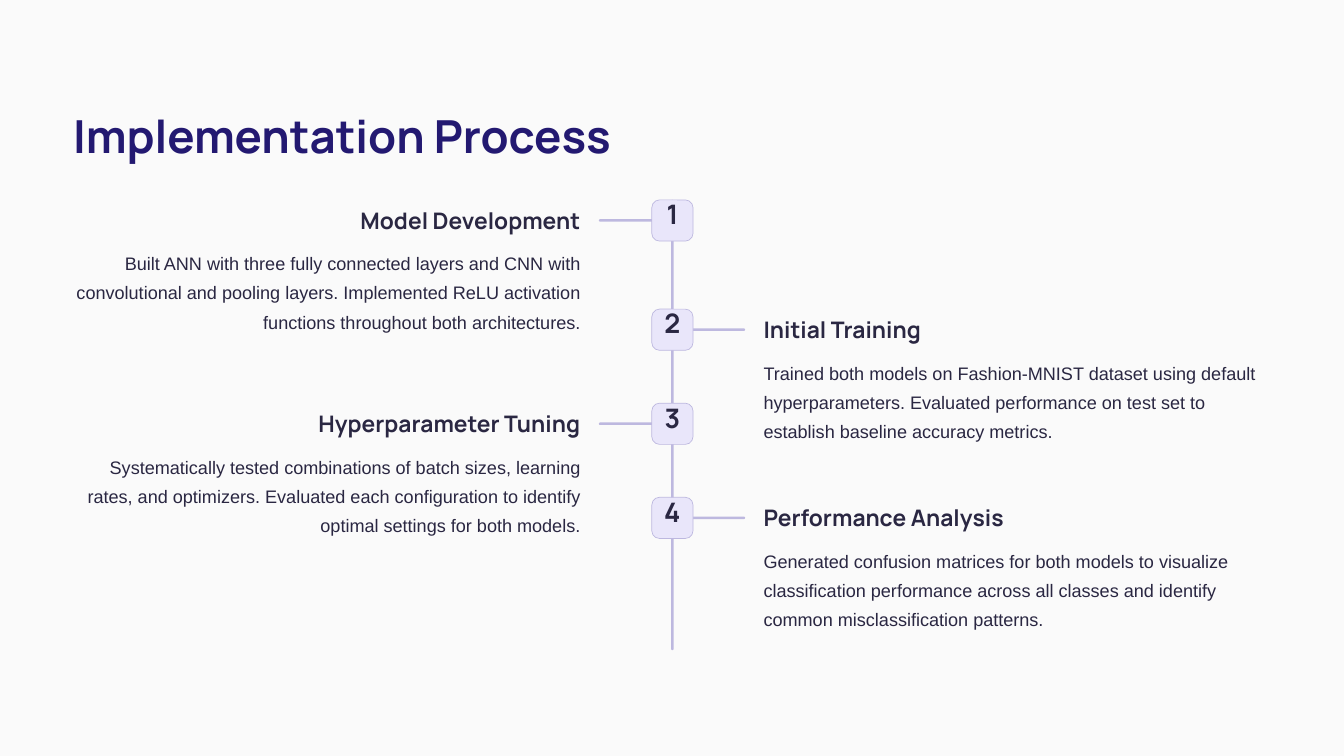
from pptx import Presentation
from pptx.dml.color import RGBColor
from pptx.enum.shapes import MSO_SHAPE as Shape
from pptx.enum.text import PP_ALIGN as Align
from pptx.util import Emu, Pt

PX = 9144  # 100 px to the inch
INK, NAVY, LILAC, PALE, PAPER = "2A2742", "231971", "BDB8DF", "E9E6FA", "FAFAFA"
HEADING = {"size": 19.5, "bold": True, "name": "Manrope"}
NUMBER = {**HEADING, "size": 23}
TITLE = {**HEADING, "size": 39}
BODY = {"size": 15.5, "bold": False, "name": "Arial"}

BADGE = 49
HEADING_WIDTH = 330
BODY_WIDTH = 605
# top, heading, body
STEPS = [
    (238, "Model Development",
     "Built ANN with three fully connected layers and CNN with convolutional and "
     "pooling layers. Implemented ReLU activation functions throughout both architectures."),
    (368, "Initial Training",
     "Trained both models on Fashion-MNIST dataset using default hyperparameters. "
     "Evaluated performance on test set to establish baseline accuracy metrics."),
    (480, "Hyperparameter Tuning",
     "Systematically tested combinations of batch sizes, learning rates, and optimizers. "
     "Evaluated each configuration to identify optimal settings for both models."),
    (592, "Performance Analysis",
     "Generated confusion matrices for both models to visualize classification performance "
     "across all classes and identify common misclassification patterns."),
]


def color(hex_code):
    return RGBColor.from_string(hex_code)


def px(*lengths):
    return [Emu(length * PX) for length in lengths]


def add_text(slide, box, text, font, leading, ink=INK, align=Align.LEFT):
    frame = slide.shapes.add_textbox(*px(*box)).text_frame
    for side in ("left", "top", "right", "bottom"):
        setattr(frame, f"margin_{side}", 0)
    frame.word_wrap = True
    paragraph = frame.paragraphs[0]
    paragraph.alignment = align
    paragraph.line_spacing = Pt(leading)
    run = paragraph.add_run()
    run.text = text
    for key, value in font.items():
        setattr(run.font, key, Pt(value) if key == "size" else value)
    run.font.color.rgb = color(ink)


def add_block(slide, box, fill, rounding, outline=None):
    """Add a rounded rectangle, outlined only when a colour is given."""
    block = slide.shapes.add_shape(Shape.ROUNDED_RECTANGLE, *px(*box))
    block.shadow.inherit = False
    block.adjustments[0] = rounding
    block.fill.solid()
    block.fill.fore_color.rgb = color(fill)
    if outline:
        block.line.color.rgb = color(outline)
        block.line.width = Pt(0.6)
    else:
        block.line.fill.background()


def add_step(slide, left, top, number, heading, body):
    """Place a step whose badge starts at left, top; odd steps read leftwards."""
    leftwards = number % 2 == 1
    align = Align.RIGHT if leftwards else Align.LEFT
    branch_left = left - 63 if leftwards else left + 46

    def text_left(width):
        return left - 85 - width if leftwards else left + 133

    add_block(slide, (branch_left, top + 23, 65, 3), LILAC, 0.5)
    add_block(slide, (left, top, BADGE, BADGE), PALE, 0.187, LILAC)
    add_text(slide, (left + 8, top + 4, 33, 41), str(number), NUMBER, 23, align=Align.CENTER)
    add_text(slide, (text_left(HEADING_WIDTH), top + 7, HEADING_WIDTH, 34),
             heading, HEADING, 24, align=align)
    add_text(slide, (text_left(BODY_WIDTH), top + 54, BODY_WIDTH, 104),
             body, BODY, 25, align=align)


def add_timeline(slide, left, top, height):
    add_block(slide, (left + 23, top, 3, height), LILAC, 0.5)
    for number, (step_top, heading, body) in enumerate(STEPS, 1):
        add_step(slide, left, step_top, number, heading, body)


def main():
    deck = Presentation()
    deck.slide_width, deck.slide_height = px(1600, 900)
    slide = deck.slides.add_slide(deck.slide_layouts[6])
    slide.background.fill.solid()
    slide.background.fill.fore_color.rgb = color(PAPER)
    add_text(slide, (87, 126, 670, 68), "Implementation Process", TITLE, 48.5, NAVY)
    add_timeline(slide, 776, 238, 536)
    deck.save("out.pptx")


if __name__ == "__main__":
    main()
